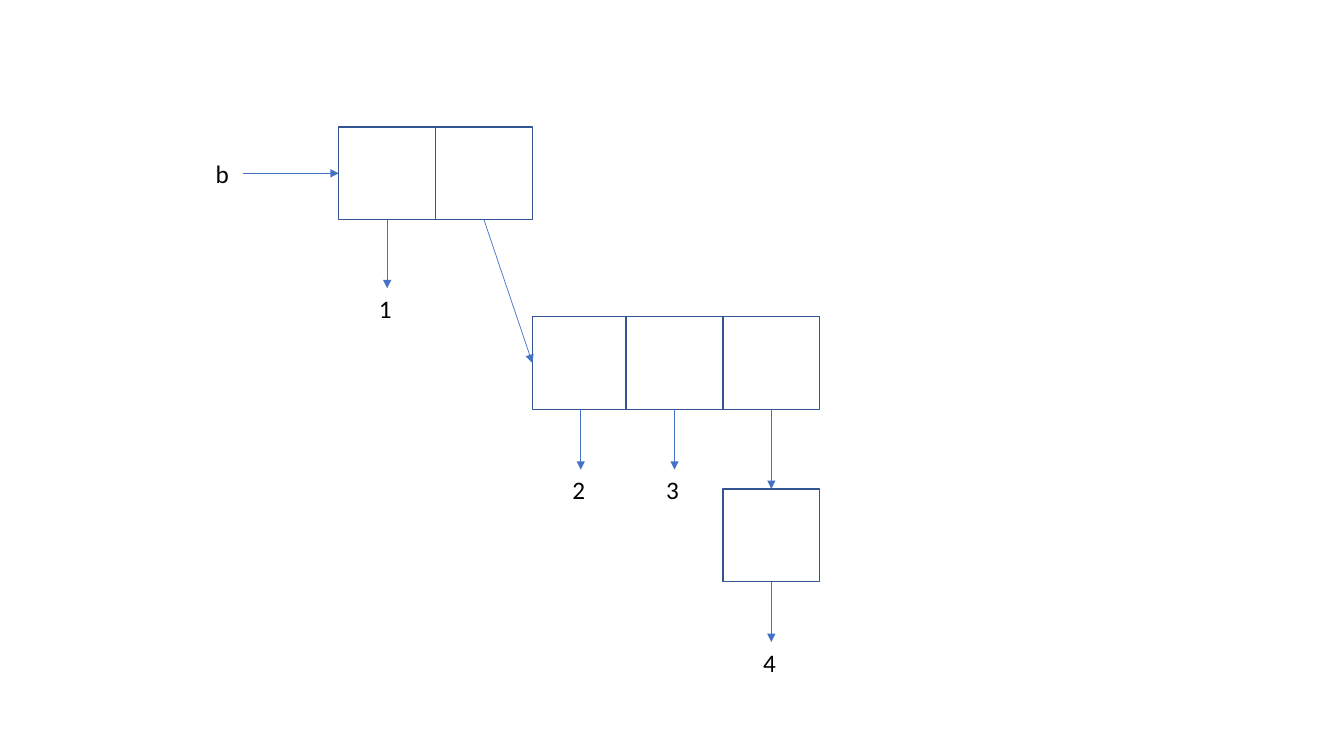
from lxml import etree
from pptx import Presentation
from pptx.dml.color import RGBColor
from pptx.enum.shapes import MSO_CONNECTOR, MSO_SHAPE
from pptx.enum.text import MSO_AUTO_SIZE
from pptx.oxml.ns import qn
from pptx.util import Inches, Pt

COLORS = {"cell": "FFFFFF", "border": "325491", "arrow": "4472C4", "text": "000000"}
CELL_W, CELL_H = 0.96, 0.92
LABEL_W, LABEL_H = 0.36, 0.4


class Diagram:
    """Draws box-and-pointer elements on one slide in a shared style."""

    def __init__(self, slide):
        self.shapes = slide.shapes

    def color(self, name):
        return RGBColor.from_string(COLORS[name])

    def cell(self, left, top):
        box = self.shapes.add_shape(MSO_SHAPE.RECTANGLE, Inches(left), Inches(top),
                                    Inches(CELL_W), Inches(CELL_H))
        box.shadow.inherit = False
        box.fill.solid()
        box.fill.fore_color.rgb = self.color("cell")
        box.line.color.rgb = self.color("border")
        box.line.width = Pt(1)

    def arrow(self, start, end):
        line = self.shapes.add_connector(MSO_CONNECTOR.STRAIGHT,
                                         *(Inches(v) for v in (*start, *end)))
        line.line.color.rgb = self.color("arrow")
        line.line.width = Pt(0.5)
        etree.SubElement(line.line._get_or_add_ln(), qn("a:tailEnd"), type="triangle")
        etree.SubElement(line._element.spPr, qn("a:effectLst"))

    def label(self, text, left, top):
        box = self.shapes.add_textbox(Inches(left), Inches(top),
                                      Inches(LABEL_W), Inches(LABEL_H))
        frame = box.text_frame
        frame.word_wrap = True
        frame.auto_size = MSO_AUTO_SIZE.SHAPE_TO_FIT_TEXT
        run = frame.paragraphs[0].add_run()
        run.text = text
        run.font.name = "Calibri"
        run.font.size = Pt(18)
        run.font.color.rgb = self.color("text")

    def value(self, text, cell_left, cell_top, length):
        center, bottom = cell_left + CELL_W / 2, cell_top + CELL_H
        self.arrow((center, bottom), (center, bottom + length))
        self.label(text, center - LABEL_W / 2, bottom + length)


prs = Presentation()
prs.slide_width, prs.slide_height = Inches(13.33), Inches(7.5)
diagram = Diagram(prs.slides.add_slide(prs.slide_layouts[6]))

FIRST_TOP, SECOND_TOP, THIRD_TOP = 1.26, 3.14, 4.85
head, head_next = 3.36, 4.32
second, third, last = 5.28, 6.21, 7.17
MIDDLE = CELL_W / 2

rows = {FIRST_TOP: (head, head_next), SECOND_TOP: (second, third, last), THIRD_TOP: (last,)}
for top, lefts in rows.items():
    for left in lefts:
        diagram.cell(left, top)

diagram.arrow((head_next + MIDDLE, FIRST_TOP + CELL_H), (second, SECOND_TOP + CELL_H / 2))
diagram.arrow((last + MIDDLE, SECOND_TOP + CELL_H), (last + MIDDLE, THIRD_TOP))

for text, left, top, length in (("1", head, FIRST_TOP, 0.68), ("2", second, SECOND_TOP, 0.6),
                                ("3", third, SECOND_TOP, 0.6), ("4", last, THIRD_TOP, 0.6)):
    diagram.value(text, left, top, length)

entry = FIRST_TOP + CELL_H / 2
diagram.label("b", 2.04, entry - LABEL_H / 2)
diagram.arrow((2.41, entry), (head, entry))

prs.save("out.pptx")
